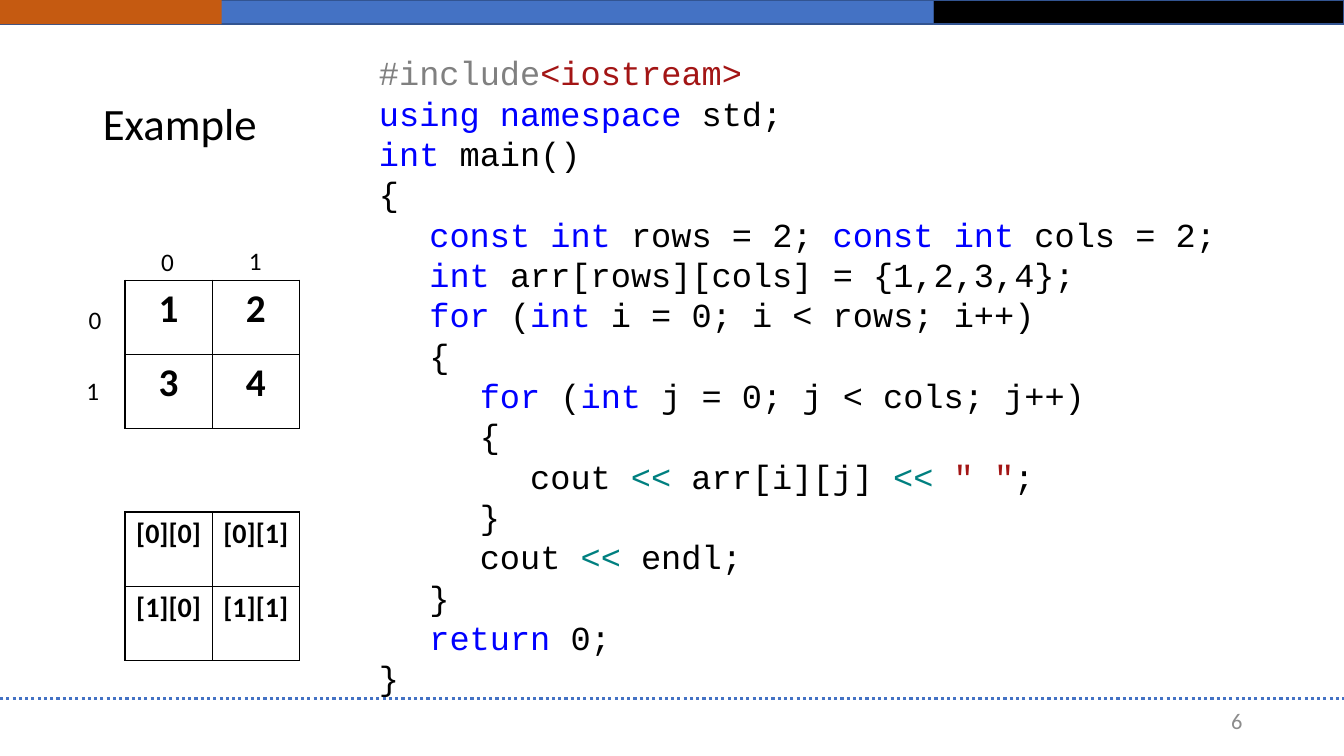
"""Build a slide that explains a two-dimensional array in C++."""
from lxml.etree import SubElement as Sub
from pptx import Presentation
from pptx.dml.color import RGBColor as Rgb
from pptx.enum.dml import MSO_LINE as Dash
from pptx.enum.shapes import MSO_CONNECTOR as Conn, MSO_SHAPE as Form
from pptx.enum.text import MSO_ANCHOR as Anchor, MSO_AUTO_SIZE as Fit, PP_ALIGN as Align
from pptx.oxml.ns import qn
from pptx.util import Inches, Pt

HUES = {
    "black": "000000", "white": "FFFFFF", "blue": "4472C4", "navy": "325491",
    "rust": "C55A11", "gray": "8C8C8C", "hash": "808080", "red": "A31515",
    "key": "0000FF", "teal": "008080",
}

CODE = [
    (0, [("#include", "hash"), ("<iostream>", "red")]),
    (0, [("using namespace", "key"), (" std;", "black")]),
    (0, [("int", "key"), (" main()", "black")]),
    (0, [("{", "black")]),
    (1, [("const int", "key"), (" rows = 2; ", "black"),
         ("const int", "key"), (" cols = 2;", "black")]),
    (1, [("int ", "key"), ("arr[rows][cols] = {1,2,3,4};", "black")]),
    (1, [("for", "key"), (" (", "black"), ("int", "key"),
         (" i = 0; i < rows; i++)", "black")]),
    (1, [("{", "black")]),
    (2, [("for", "key"), (" (", "black"), ("int", "key"),
         (" j = 0; j < cols; j++)", "black")]),
    (2, [("{", "black")]),
    (2, [("\tcout ", "black"), ("<< ", "teal"), ("arr[i][j] ", "black"),
         ("<< ", "teal"), ('" "', "red"), (";", "black")]),
    (2, [("}", "black")]),
    (2, [("cout ", "black"), ("<< ", "teal"), ("endl;", "black")]),
    (1, [("}", "black")]),
    (1, [("return", "key"), (" 0;", "black")]),
    (0, [("}", "black")]),
]

MARKS = [("0", 0.78, 2.97), ("0", 1.5, 2.39), ("1", 0.76, 3.67), ("1", 2.37, 2.38)]


def hue(name):
    return Rgb.from_string(HUES[name])


def add_run(para, text, size, tint="black", face="Calibri", bold=False):
    run = para.add_run()
    run.text = text
    font = run.font
    font.size, font.name, font.bold = Pt(size), face, bold
    font.color.rgb = hue(tint)


def add_bar(slide, left, width, fill, edge=None):
    bar = slide.shapes.add_shape(
        Form.RECTANGLE, Inches(left), 0, Inches(width), Inches(0.24))
    bar.shadow.inherit = False
    bar.fill.solid()
    bar.fill.fore_color.rgb = hue(fill)
    if edge:
        bar.line.color.rgb = hue(edge)
        bar.line.width = Pt(1)
    else:
        bar.line.fill.background()


def add_rule(slide, top):
    rule = slide.shapes.add_connector(
        Conn.STRAIGHT, 0, Inches(top), Inches(13.33), Inches(top))
    rule.line.color.rgb = hue("blue")
    rule.line.width = Pt(2.25)
    rule.line.dash_style = Dash.ROUND_DOT
    Sub(rule._element.spPr, qn("a:effectLst"))


def add_box(slide, left, top, width, height, wrap=True):
    box = slide.shapes.add_textbox(*map(Inches, (left, top, width, height)))
    box.text_frame.word_wrap = wrap
    return box.text_frame


def add_code(slide):
    frame = add_box(slide, 3.66, 0.47, 9.31, 6.56)
    for row, (level, parts) in enumerate(CODE):
        para = frame.add_paragraph() if row else frame.paragraphs[0]
        para.level = level
        for text, tint in parts:
            add_run(para, text, 24, tint, "Courier New")


def edge_cell(cell):
    props = cell._tc.get_or_add_tcPr()
    for spot, side in enumerate(("lnL", "lnR", "lnT", "lnB")):
        line = Sub(props, qn("a:" + side), w=str(Pt(1)))
        Sub(Sub(line, qn("a:solidFill")), qn("a:srgbClr"), val=HUES["black"])
        props.insert(spot, line)


def add_grid(slide, top, rows, size):
    frame = slide.shapes.add_table(
        2, 2, Inches(1.24), Inches(top), Inches(1.73), Inches(1.47))
    grid = frame.table
    for row, texts in enumerate(rows):
        for col, text in enumerate(texts):
            cell = grid.cell(row, col)
            cell.fill.solid()
            cell.fill.fore_color.rgb = hue("white")
            edge_cell(cell)
            para = cell.text_frame.paragraphs[0]
            para.alignment = Align.CENTER
            add_run(para, text, size, bold=True)


def set_title(slide, text):
    title = slide.shapes.title
    title.left, title.top, title.width, title.height = map(
        Inches, (0.92, 0.83, 11.5, 0.84))
    frame = title.text_frame
    frame.auto_size = Fit.NONE
    frame.vertical_anchor = Anchor.MIDDLE
    para = frame.paragraphs[0]
    para.alignment = Align.LEFT
    para.line_spacing = 0.9
    add_run(para, text, 32)


def add_page(slide, text):
    frame = add_box(slide, 9.42, 6.95, 3, 0.4)
    frame.vertical_anchor = Anchor.MIDDLE
    para = frame.paragraphs[0]
    para.alignment = Align.RIGHT
    add_run(para, text, 16, "gray")


def main():
    deck = Presentation()
    deck.slide_width, deck.slide_height = Inches(13.33), Inches(7.5)
    slide = deck.slides.add_slide(deck.slide_layouts[5])
    add_bar(slide, 0, 9.26, "blue", "navy")
    add_bar(slide, 9.26, 4.07, "black", "navy")
    add_bar(slide, 0, 2.2, "rust")
    add_rule(slide, 6.93)
    set_title(slide, "Example")
    add_page(slide, "6")
    add_code(slide)
    add_grid(slide, 2.78, ["12", "34"], 28)
    for text, left, top in MARKS:
        frame = add_box(slide, left, top, 0.33, 0.4, wrap=False)
        add_run(frame.paragraphs[0], text, 18)
    names = [[f"[{row}][{col}]" for col in range(2)] for row in range(2)]
    add_grid(slide, 5.08, names, 20)
    deck.save("out.pptx")


if __name__ == "__main__":
    main()
